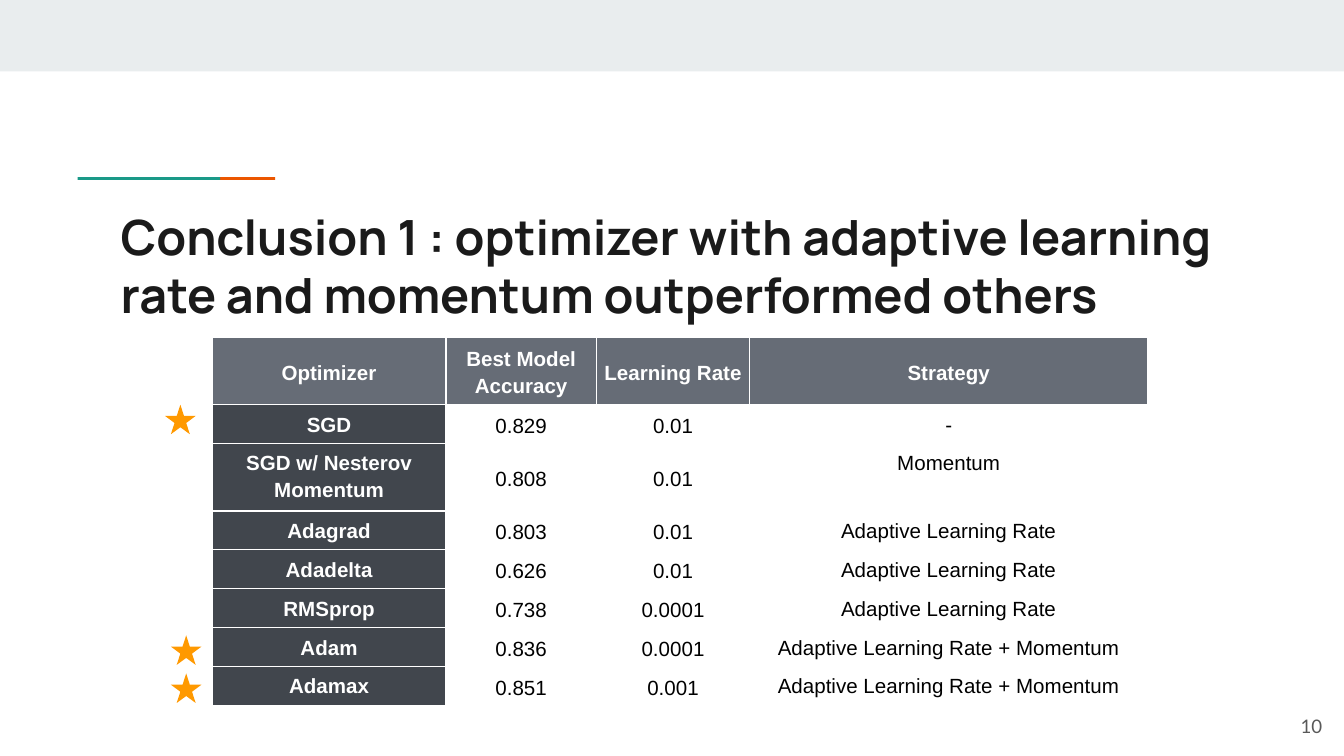
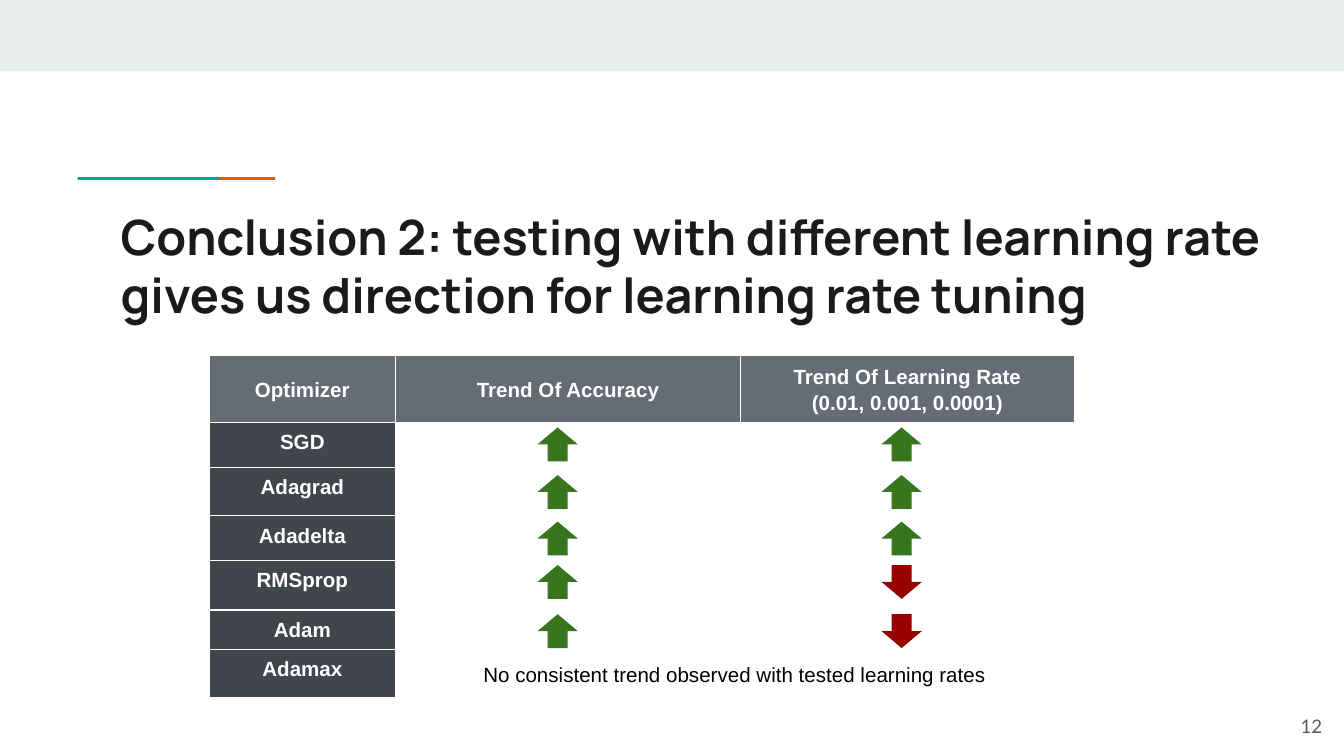
"""Build two conclusion slides that compare optimizers and learning rates."""
import lxml.etree
import pptx
import pptx.dml.color
import pptx.enum.shapes
import pptx.enum.text
import pptx.oxml.ns
import pptx.util

Cm = pptx.util.Cm
Pt = pptx.util.Pt
color = pptx.dml.color.RGBColor.from_string
qn = pptx.oxml.ns.qn
MSO_SHAPE = pptx.enum.shapes.MSO_SHAPE
PP_ALIGN = pptx.enum.text.PP_ALIGN
MSO_ANCHOR = pptx.enum.text.MSO_ANCHOR

WHITE, BLACK, BAND = "FFFFFF", "000000", "E9EDEE"
GREEN_ACCENT, ORANGE_ACCENT = "1A9988", "EB5600"
TITLE_INK, NUMBER_INK = "1A1A1A", "595959"
HEADER_FILL, OPTIMIZER_FILL = "666C76", "41464D"
STAR_FILL, RISE_FILL, FALL_FILL = "FF9900", "38761D", "990000"


def add_shape(slide, kind, left, top, width, height, fill, rotation=0):
    shape = slide.shapes.add_shape(kind, Cm(left), Cm(top), Cm(width), Cm(height))
    shape.shadow.inherit = False
    shape.fill.solid()
    shape.fill.fore_color.rgb = color(fill)
    shape.line.fill.background()
    shape.rotation = rotation


def add_run(paragraph, text, font, size, ink, bold=False):
    run = paragraph.add_run()
    run.text = text
    run.font.name = font
    run.font.size = Pt(size)
    run.font.bold = bold
    run.font.color.rgb = color(ink)


star_marks = [
    (MSO_SHAPE.STAR_5_POINT, left, top, 0.58, 0.56, STAR_FILL)
    for left, top in [(3.23, 12.01), (3.23, 12.73), (3.12, 7.65)]
]

trend_marks = []
arrow_rows = [
    (8.08, "rise"),
    (8.98, "rise"),
    (9.86, "rise"),
    (10.68, "fall"),
    (11.61, "fall"),
]
for top, rate_trend in arrow_rows:
    for left, trend in [(10.16, "rise"), (16.66, rate_trend)]:
        fill, rotation = (RISE_FILL, 0) if trend == "rise" else (FALL_FILL, 180)
        trend_marks.append((MSO_SHAPE.UP_ARROW, left, top, 0.76, 0.64, fill, rotation))

conclusions = [
    {
        "title": "Conclusion 1 : optimizer with adaptive learning rate "
                 "and momentum outperformed others",
        "number": "10",
        "origin": (4.01, 6.38),
        "columns": [4.42, 2.84, 2.9, 7.52],
        "heights": [1.09, 0.64, 1.09] + [0.64] * 5,
        "rows": [
            ["Optimizer", "Best Model Accuracy", "Learning Rate", "Strategy"],
            ["SGD", "0.829", "0.01", "-"],
            ["SGD w/ Nesterov Momentum", "0.808", "0.01", "Momentum"],
            ["Adagrad", "0.803", "0.01", "Adaptive Learning Rate"],
            ["Adadelta", "0.626", "0.01", "Adaptive Learning Rate"],
            ["RMSprop", "0.738", "0.0001", "Adaptive Learning Rate"],
            ["Adam", "0.836", "0.0001", "Adaptive Learning Rate + Momentum"],
            ["Adamax", "0.851", "0.001", "Adaptive Learning Rate + Momentum"],
        ],
        "merge": None,
        "marks": star_marks,
    },
    {
        "title": "Conclusion 2: testing with different learning rate "
                 "gives us direction for learning rate tuning",
        "number": "12",
        "origin": (3.96, 6.71),
        "columns": [3.51, 6.53, 6.3],
        "heights": [1.17, 0.86, 0.91, 0.84, 0.94, 0.74, 0.91],
        "rows": [
            ["Optimizer", "Trend Of Accuracy",
             "Trend Of Learning Rate\n(0.01, 0.001, 0.0001)"],
            ["SGD", "", ""],
            ["Adagrad", "", ""],
            ["Adadelta", "", ""],
            ["RMSprop", "", ""],
            ["Adam", "", ""],
            ["Adamax", "No consistent trend observed with tested learning rates", ""],
        ],
        "merge": ((6, 1), (6, 2)),
        "marks": trend_marks,
    },
]

presentation = pptx.Presentation()
presentation.slide_width = Cm(25.4)
presentation.slide_height = Cm(14.29)

for conclusion in conclusions:
    slide = presentation.slides.add_slide(presentation.slide_layouts[6])
    add_shape(slide, MSO_SHAPE.RECTANGLE, 0, 0, 25.4, 1.35, BAND)
    for left, fill in [(2.51, ORANGE_ACCENT), (1.47, GREEN_ACCENT)]:
        add_shape(slide, MSO_SHAPE.RECTANGLE, left, 3.35, 2.69, 0.05, fill)

    texts = [
        (conclusion["title"], (2.03, 3.66, 22.28, 1.5), MSO_ANCHOR.TOP,
         PP_ALIGN.LEFT, ("Manrope", 26, TITLE_INK, True)),
        (conclusion["number"], (23.72, 13.18, 1.52, 1.09), MSO_ANCHOR.MIDDLE,
         PP_ALIGN.RIGHT, ("Lato", 10, NUMBER_INK)),
    ]
    for text, place, anchor, alignment, style in texts:
        frame = slide.shapes.add_textbox(*map(Cm, place)).text_frame
        frame.word_wrap = True
        frame.vertical_anchor = anchor
        frame.margin_left = frame.margin_right = Cm(0.25)
        frame.margin_top = frame.margin_bottom = Cm(0.25)
        frame.paragraphs[0].alignment = alignment
        add_run(frame.paragraphs[0], text, *style)

    rows, columns, heights = (conclusion[key] for key in ("rows", "columns", "heights"))
    left, top = conclusion["origin"]
    table = slide.shapes.add_table(
        len(rows), len(columns), Cm(left), Cm(top), Cm(sum(columns)), Cm(sum(heights))
    ).table
    table.horz_banding = False
    for column, width in zip(table.columns, columns):
        column.width = Cm(width)
    for row, height in zip(table.rows, heights):
        row.height = Cm(height)
    if conclusion["merge"]:
        first, last = conclusion["merge"]
        table.cell(*first).merge(table.cell(*last))

    for row_index, row in enumerate(rows):
        for column_index, text in enumerate(row):
            cell = table.cell(row_index, column_index)
            is_header = row_index == 0
            is_optimizer = column_index == 0
            is_top = not is_header and column_index in (0, 3)
            cell.vertical_anchor = MSO_ANCHOR.TOP if is_top else MSO_ANCHOR.MIDDLE
            cell.margin_left = cell.margin_right = Cm(0.1)
            cell.margin_top = cell.margin_bottom = Cm(0.1)
            properties = cell._tc.get_or_add_tcPr()
            for side in ("a:lnL", "a:lnR", "a:lnT", "a:lnB"):
                border = lxml.etree.SubElement(properties, qn(side), w=str(Pt(0.75)))
                border_fill = lxml.etree.SubElement(border, qn("a:solidFill"))
                lxml.etree.SubElement(border_fill, qn("a:srgbClr"), val=WHITE)
            cell.fill.solid()
            cell.fill.fore_color.rgb = color(
                HEADER_FILL if is_header else OPTIMIZER_FILL if is_optimizer else WHITE
            )
            is_label = is_header or is_optimizer
            for line_index, line in enumerate(text.split("\n")):
                frame = cell.text_frame
                paragraph = frame.add_paragraph() if line_index else frame.paragraphs[0]
                paragraph.alignment = PP_ALIGN.CENTER
                paragraph.line_spacing = 1.15
                if line:
                    add_run(paragraph, line, "Arial", 11, WHITE if is_label else BLACK, is_label)
                else:
                    lxml.etree.SubElement(paragraph._p, qn("a:endParaRPr"), sz="1100")

    for mark in conclusion["marks"]:
        add_shape(slide, *mark)

presentation.save("out.pptx")
